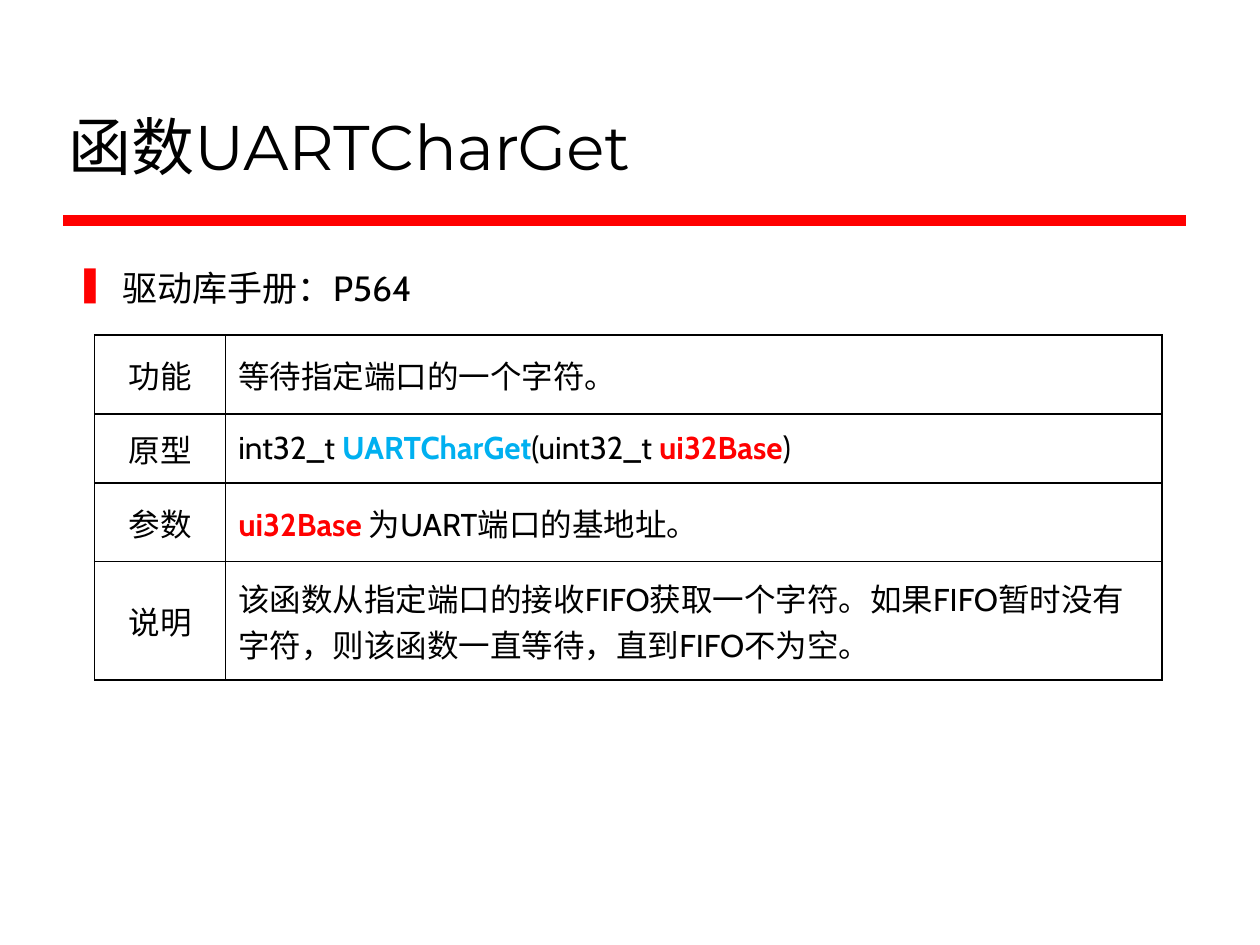
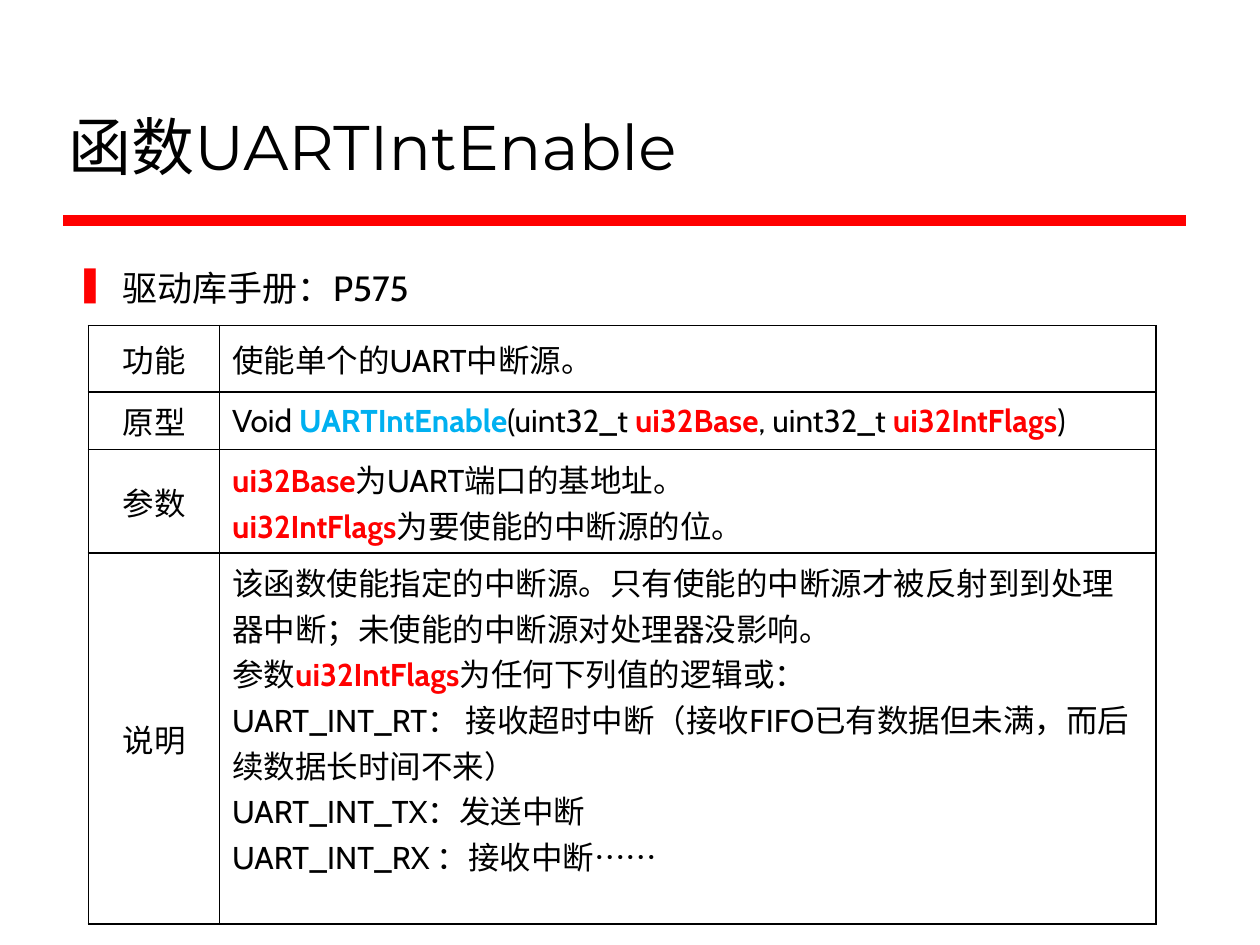
from lxml import etree
from pptx import Presentation
from pptx.dml.color import RGBColor
from pptx.enum.shapes import MSO_CONNECTOR
from pptx.enum.text import MSO_ANCHOR, PP_ALIGN
from pptx.oxml import parse_xml
from pptx.oxml.ns import nsdecls, qn
from pptx.util import Pt

COLORS = {"text": "000000", "accent": "FF0000", "function": "00B0F0"}
TITLE_FONT, BODY_FONT = "Montserrat", "Cabin"
ROW_LABELS = ["功能", "原型", "参数", "说明"]
COLUMN_WIDTHS = [75, 535]

# In table text, names between bars are highlighted.
FUNCTIONS = [
    {
        "name": "UARTCharGet",
        "manual_page": "P564",
        "table_at": (54, 191.5),
        "row_heights": [45, 39.5, 45, 67.5],
        "details": [
            ["等待指定端口的一个字符。"],
            ["int32_t |UARTCharGet|(uint32_t |ui32Base|)"],
            ["|ui32Base |为UART端口的基地址。"],
            ["该函数从指定端口的接收FIFO获取一个字符。如果FIFO暂时没有字符，"
             "则该函数一直等待，直到FIFO不为空。"],
        ],
    },
    {
        "name": "UARTIntEnable",
        "manual_page": "P575",
        "table_at": (50.5, 186),
        "row_heights": [38, 33, 59, 212],
        "details": [
            ["使能单个的UART中断源。"],
            ["Void |UARTIntEnable|(uint32_t |ui32Base|, uint32_t |ui32IntFlags|)"],
            ["|ui32Base|为UART端口的基地址。", "|ui32IntFlags|为要使能的中断源的位。"],
            ["该函数使能指定的中断源。只有使能的中断源才被反射到到处理器中断；"
             "未使能的中断源对处理器没影响。",
             "参数|ui32IntFlags|为任何下列值的逻辑或：",
             "UART_INT_RT： 接收超时中断（接收FIFO已有数据但未满，而后续数据长时间不来）",
             "UART_INT_TX：发送中断",
             "UART_INT_RX ：接收中断……"],
        ],
    },
]


def style_font(font, name, size, color="text", bold=False):
    font.name, font.size, font.bold = name, Pt(size), bold
    font.color.rgb = RGBColor.from_string(COLORS[color])


def fill_cell(cell, lines, function_name, align):
    """Write the lines with highlighted names and draw the cell's borders."""
    cell.fill.background()
    cell.vertical_anchor = MSO_ANCHOR.MIDDLE
    frame = cell.text_frame
    for number, line in enumerate(lines):
        para = frame.add_paragraph() if number else frame.paragraphs[0]
        para.alignment = align
        for position, part in enumerate(line.split("|")):
            if not part:
                continue
            span = para.add_run()
            span.text = part
            highlighted = position % 2 == 1
            color = "text"
            if highlighted:
                color = "function" if part == function_name else "accent"
            style_font(span.font, BODY_FONT, 18, color, highlighted)
    properties = cell._tc.get_or_add_tcPr()
    for index, side in enumerate(["lnL", "lnR", "lnT", "lnB"]):
        properties.insert(index, parse_xml(
            f'<a:{side} {nsdecls("a")} w="12700"><a:solidFill>'
            f'<a:srgbClr val="{COLORS["text"]}"/></a:solidFill></a:{side}>'))


deck = Presentation()
deck.slide_width, deck.slide_height = Pt(720), Pt(540)

for function in FUNCTIONS:
    page = deck.slides.add_slide(deck.slide_layouts[6])

    rule = page.shapes.add_connector(MSO_CONNECTOR.STRAIGHT, Pt(36), Pt(126), Pt(678), Pt(126))
    rule.line.color.rgb = RGBColor.from_string(COLORS["accent"])
    rule.line.width = Pt(6)
    etree.SubElement(rule._element.spPr, qn("a:effectLst"))

    title = page.shapes.add_textbox(Pt(32), Pt(18), Pt(646), Pt(90)).text_frame
    title.word_wrap = True
    title.vertical_anchor = MSO_ANCHOR.BOTTOM
    title.text = "函数" + function["name"]
    style_font(title.paragraphs[0].runs[0].font, TITLE_FONT, 36)

    reference = page.shapes.add_textbox(Pt(36), Pt(148.5), Pt(644), Pt(328)).text_frame
    reference.word_wrap = True
    reference.text = "驱动库手册：" + function["manual_page"]
    para = reference.paragraphs[0]
    properties = para._p.get_or_add_pPr()
    properties.set("marL", str(Pt(27)))
    properties.set("indent", str(Pt(-27)))
    bullet_color = etree.SubElement(properties, qn("a:buClr"))
    etree.SubElement(bullet_color, qn("a:srgbClr"), val=COLORS["accent"])
    etree.SubElement(properties, qn("a:buChar"), char="❚")
    style_font(para.runs[0].font, BODY_FONT, 20)

    left, top = function["table_at"]
    heights = function["row_heights"]
    table = page.shapes.add_table(len(ROW_LABELS), 2, Pt(left), Pt(top),
                                  Pt(sum(COLUMN_WIDTHS)), Pt(sum(heights))).table
    table.first_row = table.horz_banding = False
    for column, width in zip(table.columns, COLUMN_WIDTHS):
        column.width = Pt(width)
    for row, height, label, lines in zip(table.rows, heights, ROW_LABELS, function["details"]):
        row.height = Pt(height)
        label_cell, detail_cell = row.cells
        fill_cell(label_cell, [label], function["name"], PP_ALIGN.CENTER)
        fill_cell(detail_cell, lines, function["name"], PP_ALIGN.LEFT)
        if len(lines) > 2:
            detail_cell.vertical_anchor = MSO_ANCHOR.TOP

deck.save("out.pptx")
